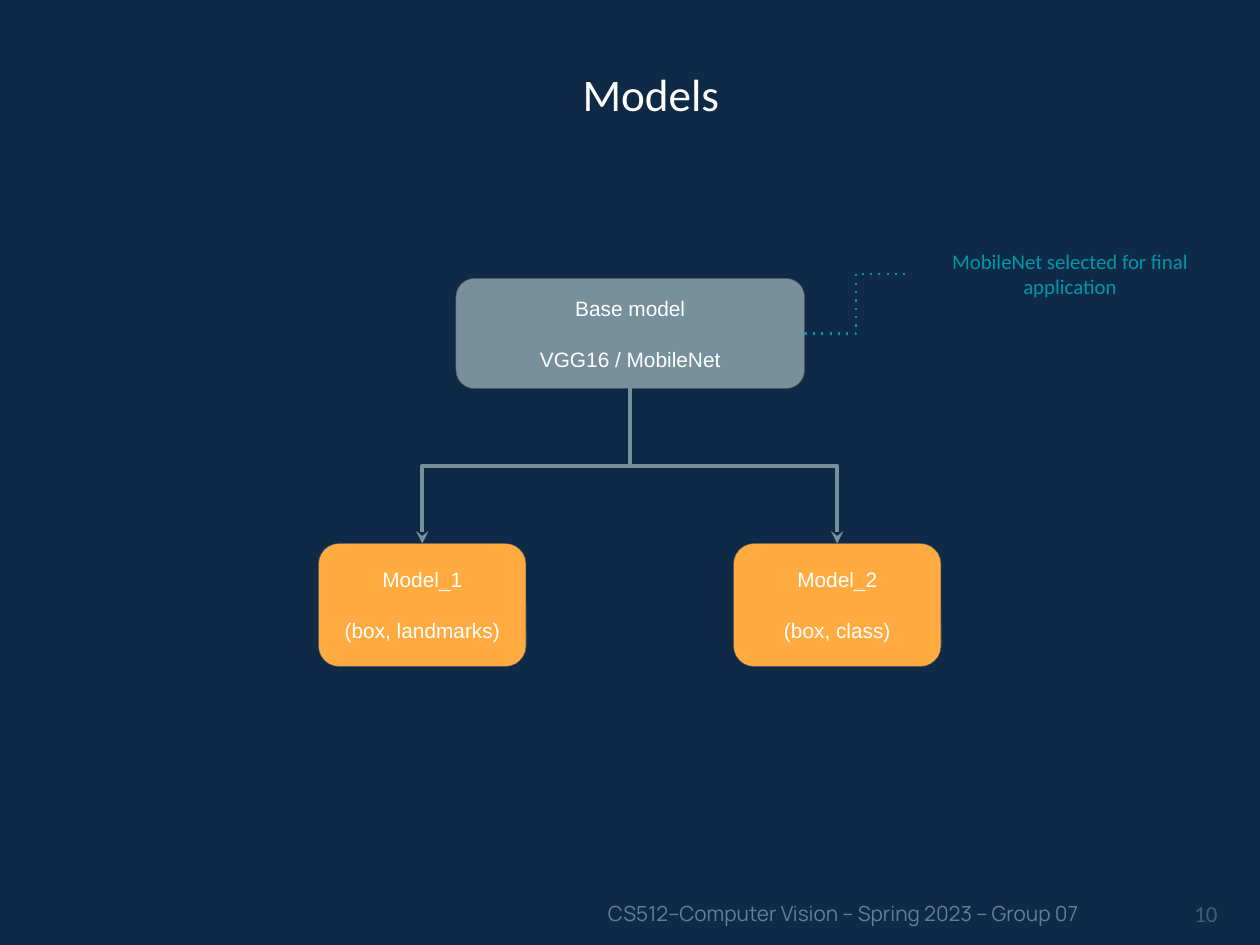
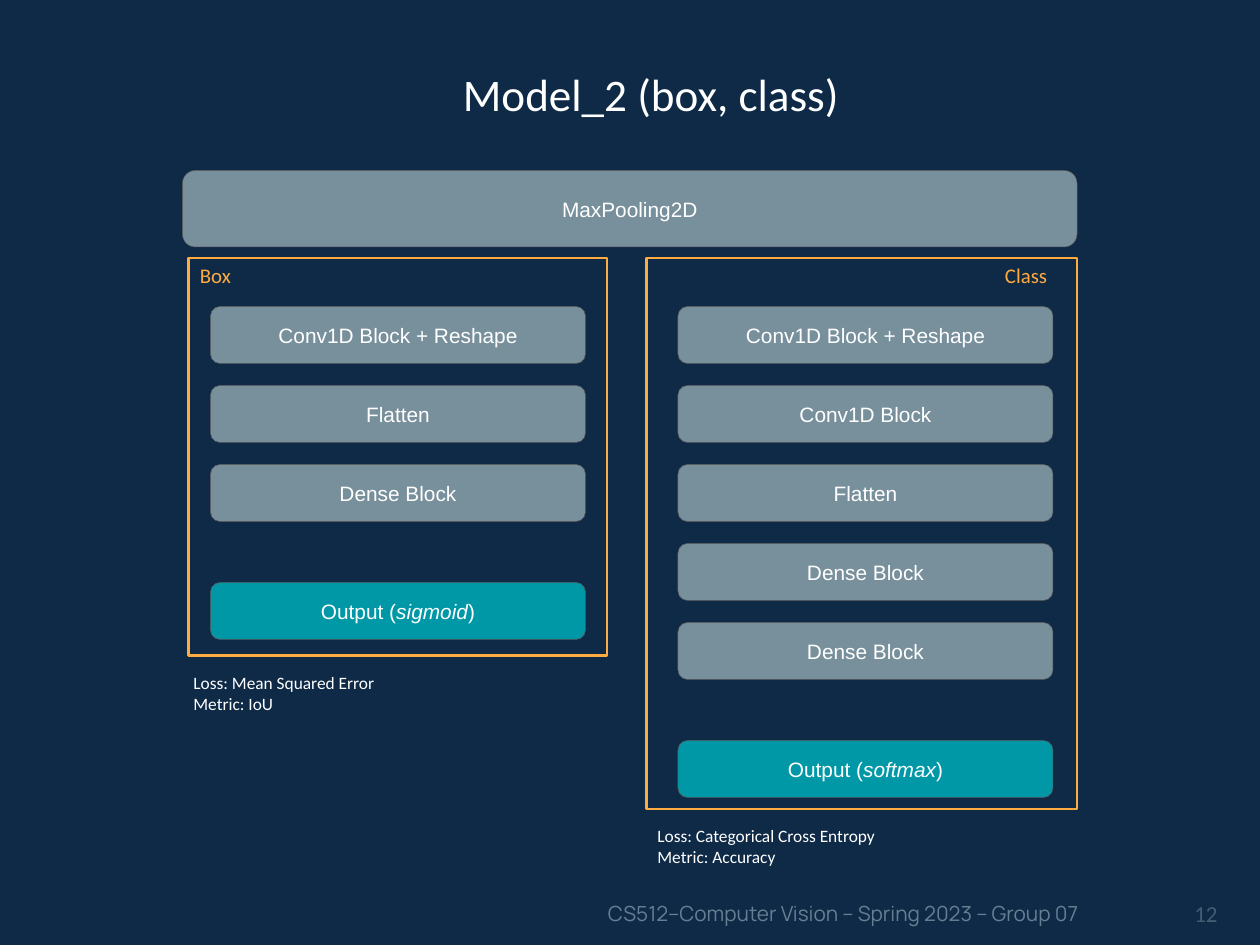
from dataclasses import dataclass

import lxml.etree
import pptx
import pptx.dml.color
import pptx.enum.shapes
import pptx.enum.text
import pptx.oxml.ns
import pptx.util

Inches = pptx.util.Inches
Pt = pptx.util.Pt
qn = pptx.oxml.ns.qn
Shape = pptx.enum.shapes.MSO_SHAPE
Align = pptx.enum.text.PP_ALIGN
Anchor = pptx.enum.text.MSO_ANCHOR

TOP, LEFT, BOTTOM, RIGHT = range(4)  # connection sites


@dataclass(frozen=True)
class Theme:
    background: str = "0E2A47"
    white: str = "FFFFFF"
    slate: str = "78909C"
    orange: str = "FFAB40"
    teal: str = "0097A7"
    outline: str = "595959"
    footer: str = "667E92"
    number: str = "435D74"
    text_font: str = "Calibri"
    box_font: str = "Arial"
    footer_font: str = "Manrope"
    title_size: int = 65
    number_size: int = 33
    body_size: int = 30
    note_size: int = 25


THEME = Theme()


def color(value):
    return pptx.dml.color.RGBColor.from_string(value)


def write(shape, lines, size=THEME.body_size, font=THEME.text_font, fill=THEME.white,
          align=Align.LEFT, anchor=Anchor.TOP, inset=0.1, gap=0, line_spacing=None):
    """Fill a shape with paragraphs; words between asterisks become italic."""
    frame = shape.text_frame
    frame.word_wrap = True
    frame.vertical_anchor = anchor
    frame.margin_left = frame.margin_right = Inches(inset)
    frame.margin_top = frame.margin_bottom = Inches(inset)
    for index, line in enumerate(lines):
        para = frame.add_paragraph() if index else frame.paragraphs[0]
        para.alignment = align
        para.line_spacing = line_spacing
        if index and gap:
            para.space_before = Pt(gap)
        for position, words in enumerate(line.split("*")):
            span = para.add_run()
            span.text = words
            span.font.size = Pt(size)
            span.font.name = font
            span.font.color.rgb = color(fill)
            span.font.italic = position % 2 == 1


def add_text(slide, area, *lines, **style):
    box = slide.shapes.add_textbox(*map(Inches, area))
    write(box, lines, **style)
    return box


def add_block(slide, area, *lines, fill=THEME.slate):
    block = slide.shapes.add_shape(Shape.FLOWCHART_ALTERNATE_PROCESS, *map(Inches, area))
    block.shadow.inherit = False
    block.fill.solid()
    block.fill.fore_color.rgb = color(fill)
    block.line.color.rgb = color(THEME.outline)
    block.line.width = Pt(0.75)
    write(block, lines, font=THEME.box_font, align=Align.CENTER,
          anchor=Anchor.MIDDLE, gap=37)
    return block


def add_frame(slide, area):
    frame = slide.shapes.add_shape(Shape.FLOWCHART_PROCESS, *map(Inches, area))
    frame.shadow.inherit = False
    frame.fill.background()
    frame.line.color.rgb = color(THEME.orange)
    frame.line.width = Pt(3)


def add_elbow(slide, source, source_site, target, target_site, stroke, width):
    elbow = slide.shapes.add_connector(pptx.enum.shapes.MSO_CONNECTOR.ELBOW, 0, 0, 0, 0)
    elbow.begin_connect(source, source_site)
    elbow.end_connect(target, target_site)
    elbow.line.color.rgb = color(stroke)
    elbow.line.width = Pt(width)
    lxml.etree.SubElement(elbow._element.spPr, qn("a:effectLst"))
    return elbow


def add_line_detail(elbow, tag, **attributes):
    line = elbow._element.spPr.find(qn("a:ln"))
    lxml.etree.SubElement(line, qn(tag), **attributes)


def add_branch(slide, parent, child):
    """Draw an arrow that leaves the parent downwards and enters the child from above."""
    branch = add_elbow(slide, parent, BOTTOM, child, TOP, THEME.slate, 6)
    add_line_detail(branch, "a:tailEnd", type="stealth")
    across = branch.end_x - branch.begin_x
    drop = branch.end_y - branch.begin_y
    middle_x = (branch.begin_x + branch.end_x) // 2
    middle_y = (branch.begin_y + branch.end_y) // 2
    # The elbow runs sideways by default, so its frame is turned a quarter.
    branch.width, branch.height = drop, abs(across)
    branch.left = middle_x - drop // 2
    branch.top = middle_y - abs(across) // 2
    transform = branch._element.spPr.find(qn("a:xfrm"))
    transform.set("rot", "5400000" if across < 0 else "16200000")
    transform.set("flipH", "0" if across < 0 else "1")


def add_page(deck, title, number):
    page = deck.slides.add_slide(deck.slide_layouts[6])
    add_text(page, (12.06, 18, 11.81, 0.61), "CS512–Computer Vision – Spring 2023 – Group 07",
             font=THEME.footer_font, fill=THEME.footer, anchor=Anchor.MIDDLE,
             line_spacing=0.8)
    add_text(page, (1.58, 1.05, 22.88, 2.2), title, size=THEME.title_size,
             align=Align.CENTER, inset=0.28)
    add_text(page, (23.47, 17.74, 1.13, 1.03), number, size=THEME.number_size,
             fill=THEME.number, align=Align.RIGHT, inset=0.25)
    return page


def add_stack(slide, left, layers, activation):
    """Place the layers at an equal pitch, with the output block set further below."""
    first_top, pitch, output_step = 6.13, 1.58, 2.36
    width, height = 7.5, 1.14
    for index, layer in enumerate(layers):
        add_block(slide, (left, first_top + index * pitch, width, height), layer)
    output_top = first_top + (len(layers) - 1) * pitch + output_step
    add_block(slide, (left, output_top, width, height), f"Output (*{activation}*)",
              fill=THEME.teal)


def build_models(deck):
    page = add_page(deck, "Models", "10")
    base = add_block(page, (9.12, 5.57, 6.97, 2.2), "Base model", "VGG16 / MobileNet")
    for left, name, outputs in ((6.37, "Model_1", "(box, landmarks)"),
                                (14.67, "Model_2", "(box, class)")):
        model = add_block(page, (left, 10.87, 4.15, 2.46), name, outputs,
                          fill=THEME.orange)
        add_branch(page, base, model)
    callout = add_text(page, (18.15, 4.87, 6.5, 1.21),
                       "MobileNet selected for final application",
                       fill=THEME.teal, align=Align.CENTER)
    leader = add_elbow(page, base, RIGHT, callout, LEFT, THEME.teal, 3)
    add_line_detail(leader, "a:prstDash", val="dot")


def build_model_2(deck):
    page = add_page(deck, "Model_2 (box, class)", "12")
    add_block(page, (3.65, 3.41, 17.89, 1.53), "MaxPooling2D")

    add_frame(page, (3.77, 5.16, 8.37, 7.95))
    add_text(page, (3.9, 5.16, 8.11, 0.71), "Box", fill=THEME.orange)
    add_stack(page, 4.21, ("Conv1D Block + Reshape", "Flatten", "Dense Block"), "sigmoid")
    add_text(page, (3.77, 13.35, 8.37, 1.04), "Loss: Mean Squared Error", "Metric: IoU",
             size=THEME.note_size)

    add_frame(page, (12.93, 5.16, 8.61, 11.02))
    add_text(page, (12.93, 5.16, 8.11, 0.71), "Class", fill=THEME.orange,
             align=Align.RIGHT)
    add_stack(page, 13.56, ("Conv1D Block + Reshape", "Conv1D Block", "Flatten",
                            "Dense Block", "Dense Block"), "softmax")
    add_text(page, (13.05, 16.4, 8.37, 1.04), "Loss: Categorical Cross Entropy",
             "Metric: Accuracy", size=THEME.note_size)


def main():
    deck = pptx.Presentation()
    deck.slide_width, deck.slide_height = Inches(25.2), Inches(18.9)
    backdrop = deck.slide_master.background.fill
    backdrop.solid()
    backdrop.fore_color.rgb = color(THEME.background)
    build_models(deck)
    build_model_2(deck)
    deck.save("out.pptx")


if __name__ == "__main__":
    main()
